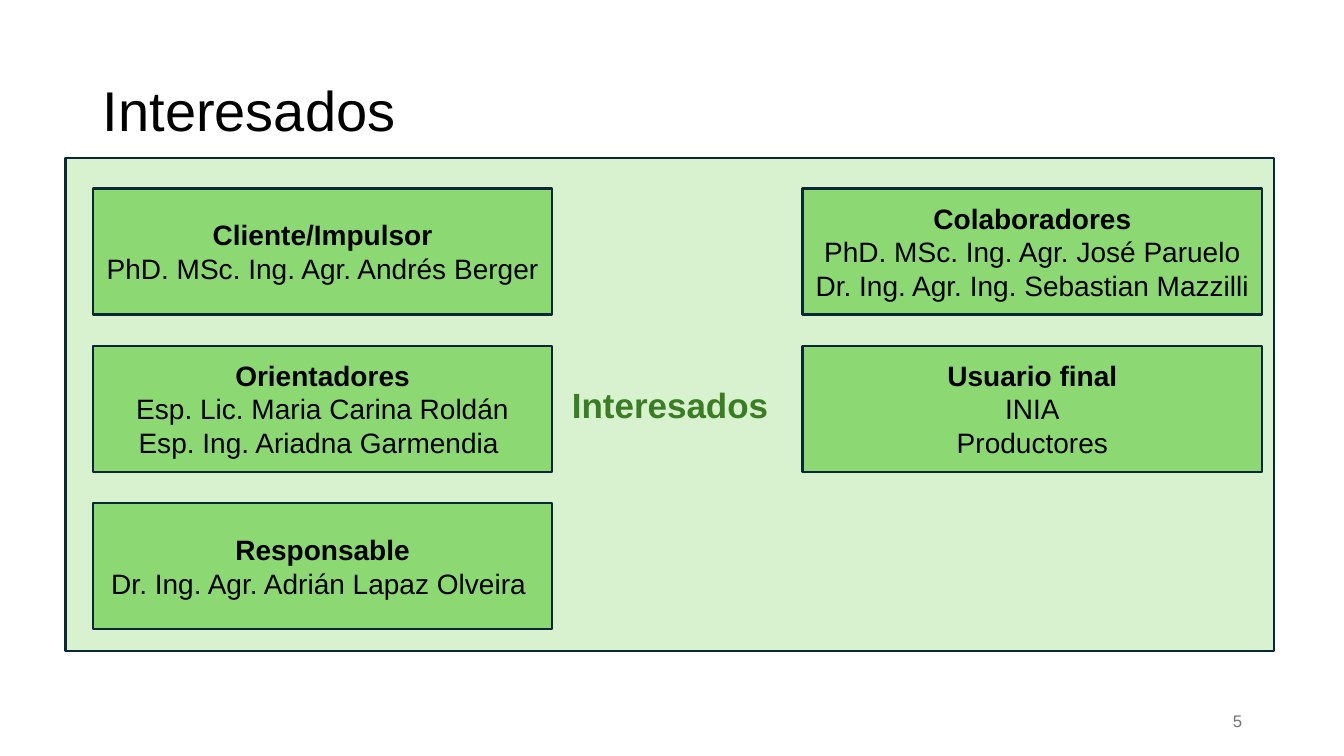
import pptx
import pptx.util
import pptx.dml.color
import pptx.enum.shapes
import pptx.enum.text
from pptx.util import Inches

COLORS = {
    "panel": "D8F2CF",
    "card": "8CD872",
    "border": "082836",
    "heading": "3A7D22",
    "text": "000000",
    "number": "757575",
}
ALIGN = pptx.enum.text.PP_ALIGN


def rgb(name):
    return pptx.dml.color.RGBColor.from_string(COLORS[name])


def write_lines(shape, lines, size, color, align, bold_first=False):
    """Fill the shape with one paragraph per line, anchored in the middle."""
    frame = shape.text_frame
    frame.word_wrap = True
    frame.auto_size = pptx.enum.text.MSO_AUTO_SIZE.NONE
    frame.vertical_anchor = pptx.enum.text.MSO_ANCHOR.MIDDLE
    frame.text = "\n".join(lines)
    for index, paragraph in enumerate(frame.paragraphs):
        paragraph.alignment = align
        font_format = {
            "name": "Arial",
            "size": pptx.util.Pt(size),
            "bold": bold_first and index == 0,
        }
        for run in paragraph.runs:
            for attribute, value in font_format.items():
                setattr(run.font, attribute, value)
            run.font.color.rgb = rgb(color)


presentation = pptx.Presentation()
presentation.slide_width = Inches(13.33)
presentation.slide_height = Inches(7.5)
slide = presentation.slides.add_slide(presentation.slide_layouts[5])

# Title
title = slide.shapes.title
title_box = {"left": 0.92, "top": 0.4, "width": 11.5, "height": 1.45}
for attribute, value in title_box.items():
    setattr(title, attribute, Inches(value))
write_lines(title, ["Interesados"], 40, "text", ALIGN.LEFT)
title.text_frame.paragraphs[0].line_spacing = 0.9

# Panel and stakeholder cards: left, top, width, height, fill, lines, size, color
LEFT_COLUMN, RIGHT_COLUMN = 0.92, 7.96
FIRST_ROW, ROW_STEP = 1.87, 1.56
columns = {
    LEFT_COLUMN: [
        ["Cliente/Impulsor", "PhD. MSc. Ing. Agr. Andrés Berger"],
        ["Orientadores", "Esp. Lic. Maria Carina Roldán", "Esp. Ing. Ariadna Garmendia "],
        ["Responsable", "Dr. Ing. Agr. Adrián Lapaz Olveira "],
    ],
    RIGHT_COLUMN: [
        ["Colaboradores", "PhD. MSc. Ing. Agr. José Paruelo",
         "Dr. Ing. Agr. Ing. Sebastian Mazzilli"],
        ["Usuario final", "INIA", "Productores"],
    ],
}
boxes = [(0.65, 1.57, 11.99, 4.89, "panel", ["Interesados"], 25, "heading")]
for left, cards in columns.items():
    for row, lines in enumerate(cards):
        top = FIRST_ROW + row * ROW_STEP
        boxes.append((left, top, 4.56, 1.25, "card", lines, 20, "text"))

for left, top, width, height, fill, lines, size, color in boxes:
    shape = slide.shapes.add_shape(
        pptx.enum.shapes.MSO_SHAPE.RECTANGLE,
        Inches(left), Inches(top), Inches(width), Inches(height))
    shape.shadow.inherit = False
    shape.fill.solid()
    shape.fill.fore_color.rgb = rgb(fill)
    shape.line.color.rgb = rgb("border")
    shape.line.width = pptx.util.Pt(1.5)
    write_lines(shape, lines, size, color, ALIGN.CENTER, bold_first=True)

# Slide number
number = slide.shapes.add_textbox(Inches(9.42), Inches(6.95), Inches(3), Inches(0.4))
write_lines(number, ["5"], 12, "number", ALIGN.RIGHT)

presentation.save("out.pptx")
